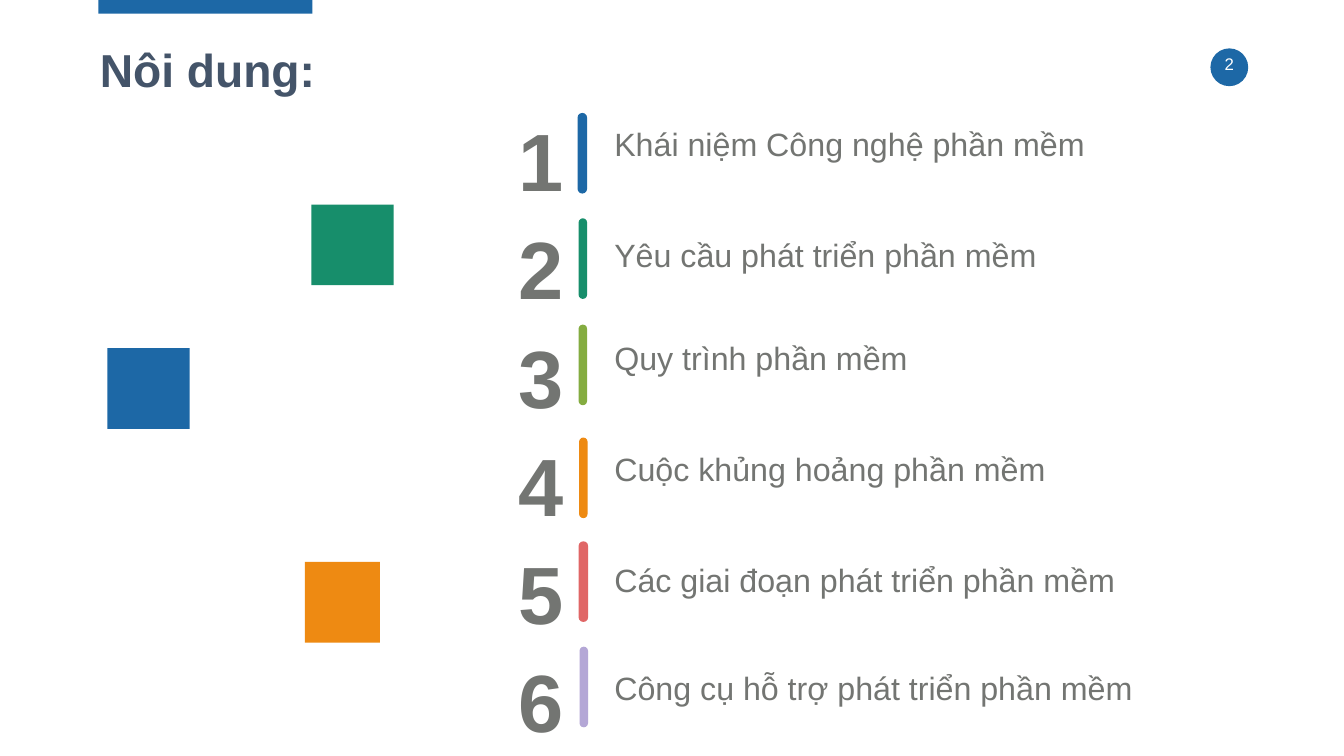
from pptx import Presentation
from pptx.dml.color import RGBColor
from pptx.enum.shapes import MSO_SHAPE
from pptx.enum.text import MSO_ANCHOR, MSO_AUTO_SIZE, PP_ALIGN
from pptx.util import Pt

COLORS = {
    "blue": "1D68A6", "green": "178E6B", "lime": "84AC40",
    "orange": "EE8A12", "red": "E06666", "purple": "B4A7D6",
    "title": "445469", "grey": "737572", "white": "FFFFFF",
}

# Text, text top, text width, text height, bar left, bar top, bar width, bar colour
TOPICS = [
    ("Khái niệm Công nghệ phần mềm", 169.2, 777.6, 95, 825.1, 161.3, 13.7, "blue"),
    ("Yêu cầu phát triển phần mềm", 327.6, 789.8, 95, 826.6, 311.8, 12.2, "green"),
    ("Quy trình phần mềm", 474.5, 789.8, 95, 826.6, 463.7, 12.2, "lime"),
    ("Cuộc khủng hoảng phần mềm", 633.6, 803.5, 95, 827.3, 625, 12.2, "orange"),
    ("Các giai đoạn phát triển phần mềm", 792, 803.5, 110.2, 826.6, 773.3, 13.7, "red"),
    ("Công cụ hỗ trợ phát triển phần mềm", 945.4, 815, 95, 828, 923.8, 12.2, "purple"),
]

# Left, top, width, colour
SQUARES = [
    (153.4, 497.5, 117.4, "blue"),
    (435.6, 802.8, 107.3, "orange"),
    (445, 292.3, 117.4, "green"),
]


def add_block(s, kind, left, top, width, height, color):
    sp = s.shapes.add_shape(kind, Pt(left), Pt(top), Pt(width), Pt(height))
    sp.shadow.inherit = False
    sp.fill.solid()
    sp.fill.fore_color.rgb = RGBColor.from_string(COLORS[color])
    sp.line.fill.background()
    return sp


def write(sp, lines, size, color, bold=False, inset=(7.2, 3.6),
          anchor=MSO_ANCHOR.TOP, **paragraph_format):
    tf = sp.text_frame
    side, edge = map(Pt, inset)
    frame_format = {
        "word_wrap": True, "auto_size": MSO_AUTO_SIZE.NONE, "vertical_anchor": anchor,
        "margin_left": side, "margin_right": side,
        "margin_top": edge, "margin_bottom": edge,
    }
    for name, value in frame_format.items():
        setattr(tf, name, value)
    for i, line in enumerate(lines):
        p = tf.add_paragraph() if i else tf.paragraphs[0]
        for name, value in paragraph_format.items():
            setattr(p, name, value)
        r = p.add_run()
        r.text = line
        for name, value in {"name": "Arial", "size": Pt(size), "bold": bold}.items():
            setattr(r.font, name, value)
        r.font.color.rgb = RGBColor.from_string(COLORS[color])


def add_text(s, left, top, width, height, lines, size, color, **style):
    sp = s.shapes.add_textbox(Pt(left), Pt(top), Pt(width), Pt(height))
    write(sp, lines, size, color, **style)


def add_title(s, text):
    sp = s.shapes.title
    box = {"left": 135.4, "top": 53.3, "width": 1648.8, "height": 89.3}
    for name, value in box.items():
        setattr(sp, name, Pt(value))
    write(sp, [text], 66, "title", bold=True,
          anchor=MSO_ANCHOR.MIDDLE, alignment=PP_ALIGN.LEFT)


def add_topic(s, text, top, width, height, bar_left, bar_top, bar_width, color):
    add_text(s, 860.4, top, width, height, [text], 46, "grey", inset=(17.3, 8.6))
    bar = add_block(s, MSO_SHAPE.ROUND_2_SAME_RECTANGLE,
                    bar_left, bar_top, bar_width, 115.2, color)
    bar.rotation = 180
    for i in range(2):
        bar.adjustments[i] = 0.5


def main():
    prs = Presentation()
    prs.slide_width, prs.slide_height = Pt(1920.24), Pt(1080)
    s = prs.slides.add_slide(prs.slide_layouts[5])

    # Header: page number, accent bar and title
    add_block(s, MSO_SHAPE.OVAL, 1729.4, 69.1, 54, 54, "blue")
    add_text(s, 1714.3, 73.4, 84.2, 57.6, ["2"], 24, "white",
             alignment=PP_ALIGN.CENTER)
    add_block(s, MSO_SHAPE.RECTANGLE, 140.4, 0, 306, 19.4, "blue")
    add_title(s, "Nôi dung:")

    # Numbered topics
    for topic in TOPICS:
        add_topic(s, *topic)
    numbers = [str(n) for n in range(1, len(TOPICS) + 1)]
    add_text(s, 726.5, 135.4, 97.9, 839.5, numbers, 116, "grey", bold=True,
             inset=(14.4, 7.2), line_spacing=1.11)

    # Decorative squares
    for left, top, width, color in SQUARES:
        add_block(s, MSO_SHAPE.RECTANGLE, left, top, width, 115.2, color)

    prs.save("out.pptx")


if __name__ == "__main__":
    main()
